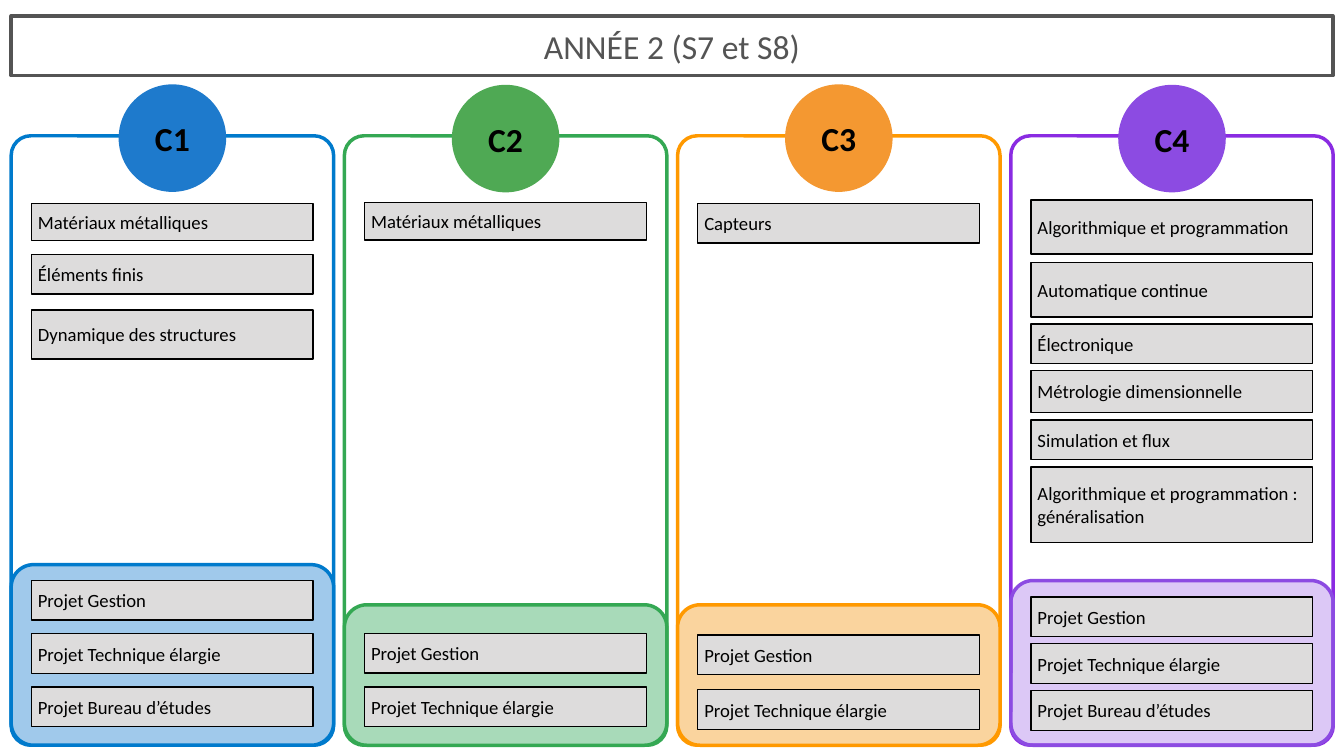
"""Build a one-slide map of the second-year courses by skill."""
from dataclasses import dataclass

from lxml import etree
from pptx import Presentation
from pptx.dml.color import RGBColor
from pptx.enum.shapes import MSO_SHAPE
from pptx.enum.text import MSO_ANCHOR, MSO_AUTO_SIZE, PP_ALIGN
from pptx.oxml.ns import qn
from pptx.util import Pt

OVAL, RECT, ROUND = MSO_SHAPE.OVAL, MSO_SHAPE.RECTANGLE, MSO_SHAPE.ROUNDED_RECTANGLE
LEFT, CENTER = PP_ALIGN.LEFT, PP_ALIGN.CENTER
MIDDLE = MSO_ANCHOR.MIDDLE
FIXED = MSO_AUTO_SIZE.NONE

WIDE, HIGH = 1440, 810
EDGE, STEP = 12, 357
COL_TOP, COL_WIDE, FLOOR = 145.5, 345.5, 798.5
DISC, INSET = 113, 21.5
BOX_WIDE, BOX_HIGH = 302, 42.5


@dataclass(frozen=True)
class Theme:
    """Hold the colours, font and sizes."""
    font: str = "Calibri"
    head: str = "545454"
    ink: str = "000000"
    box: str = "DDDCDC"
    large: float = 36
    small: float = 20
    thick: float = 3.75
    mid: float = 2.25
    thin: float = 1.5


@dataclass(frozen=True)
class Skill:
    """Describe one column: its colours, courses and projects."""
    name: str
    line: str
    disc: str
    disc_top: float
    fill: str
    alpha: int
    panel_top: float
    courses: tuple
    start: float
    gap: float
    tasks: tuple


PLAN, TECH, STUDY = "Projet Gestion", "Projet Technique élargie", "Projet Bureau d’études"
METAL = "Matériaux métalliques"

SKILLS = (
    Skill("C1", "007ACC", "1E7ACC", 91.5, "A0C9EB", 100, 605,
          ((METAL, 218, 40), ("Éléments finis", 273, 42),
           ("Dynamique des structures", 332, 52.5)),
          622, 57, (PLAN, TECH, STUDY)),
    Skill("C2", "34A853", "4FA954", 92, "A8DAB9", 100, 648,
          ((METAL, 217, 40),), 678.5, 57.5, (PLAN, TECH)),
    Skill("C3", "FF9900", "F49831", 91.5, "FAD49E", 100, 648,
          (("Capteurs", 218, 42.5),), 680.5, 58.5, (PLAN, TECH)),
    Skill("C4", "8A2BE2", "8C4BE2", 92, "8C4BE2", 30, 622,
          (("Algorithmique et programmation", 214.5, 57.5),
           ("Automatique continue", 281.5, 58),
           ("Électronique", 347, 42.5),
           ("Métrologie dimensionnelle", 397, 45),
           ("Simulation et flux", 450, 42.5),
           ("Algorithmique et programmation : généralisation", 500.5, 80.5)),
          639.5, 50.25, (PLAN, TECH, STUDY)),
)


class Deck:
    """Hold the theme and current slide, and draw each kind of element."""

    def __init__(self, theme, slide):
        self.theme = theme
        self.slide = slide

    def shape(self, kind, x, y, w, h, line, weight, fill=None):
        """Add a preset shape with an outline and an optional fill."""
        item = self.slide.shapes.add_shape(kind, Pt(x), Pt(y), Pt(w), Pt(h))
        item.shadow.inherit = False
        item.line.color.rgb = RGBColor.from_string(line)
        item.line.width = Pt(weight)
        if fill:
            item.fill.solid()
            item.fill.fore_color.rgb = RGBColor.from_string(fill)
        else:
            item.fill.background()
        return item

    def label(self, item, text, size, color, align, bold=False):
        """Set and format the text of a shape."""
        frame = item.text_frame
        frame.text = text
        frame.word_wrap = True
        frame.auto_size = FIXED
        frame.vertical_anchor = MIDDLE
        para = frame.paragraphs[0]
        para.alignment = align
        font = para.runs[0].font
        font.name, font.size, font.bold = self.theme.font, Pt(size), bold
        font.color.rgb = RGBColor.from_string(color)

    def title(self, text):
        """Frame the title across the top."""
        theme, item = self.theme, self.slide.shapes.title
        item.left, item.top = Pt(EDGE), Pt(17)
        item.width, item.height = Pt(WIDE - 2 * EDGE), Pt(64)
        item.line.color.rgb = RGBColor.from_string(theme.head)
        item.line.width = Pt(theme.thick)
        self.label(item, text, theme.large, theme.head, CENTER)

    def round(self, x, y, radius, line, fill=None, alpha=100):
        """Add a rounded frame that reaches down to the floor."""
        high = FLOOR - y
        item = self.shape(ROUND, x, y, COL_WIDE, high, line, self.theme.thick, fill)
        item.adjustments[0] = radius / min(COL_WIDE, high)
        if alpha < 100:
            color = item.element.spPr.find(qn("a:solidFill"))[0]
            etree.SubElement(color, qn("a:alpha")).set("val", str(alpha * 1000))

    def disc(self, x, y, text, color):
        """Add the round badge of a column."""
        theme = self.theme
        item = self.shape(OVAL, x, y, DISC, DISC, color, theme.mid, color)
        frame = item.text_frame
        frame.margin_left = frame.margin_right = 0
        frame.margin_top = frame.margin_bottom = 0
        self.label(item, text, theme.large, theme.ink, CENTER, True)

    def box(self, x, y, high, text):
        """Add a grey course box."""
        theme = self.theme
        item = self.shape(RECT, x, y, BOX_WIDE, high, theme.ink, theme.thin, theme.box)
        self.label(item, text, theme.small, theme.ink, LEFT)

    def column(self, x, skill):
        """Draw a skill with its courses and projects."""
        self.round(x, COL_TOP, 21, skill.line)
        self.disc(x + (COL_WIDE - DISC) / 2, skill.disc_top, skill.name, skill.disc)
        edge = skill.line if skill.alpha == 100 else skill.fill
        self.round(x, skill.panel_top, 24, edge, skill.fill, skill.alpha)
        for text, top, high in skill.courses:
            self.box(x + INSET, top, high, text)
        for row, text in enumerate(skill.tasks):
            self.box(x + INSET, skill.start + row * skill.gap, BOX_HIGH, text)


def main():
    """Build and save the slide."""
    show = Presentation()
    show.slide_width, show.slide_height = Pt(WIDE), Pt(HIGH)
    deck = Deck(Theme(), show.slides.add_slide(show.slide_layouts[5]))
    deck.title("ANNÉE 2 (S7 et S8)")
    for rank, skill in enumerate(SKILLS):
        deck.column(EDGE + rank * STEP, skill)
    show.save("out.pptx")


if __name__ == "__main__":
    main()
